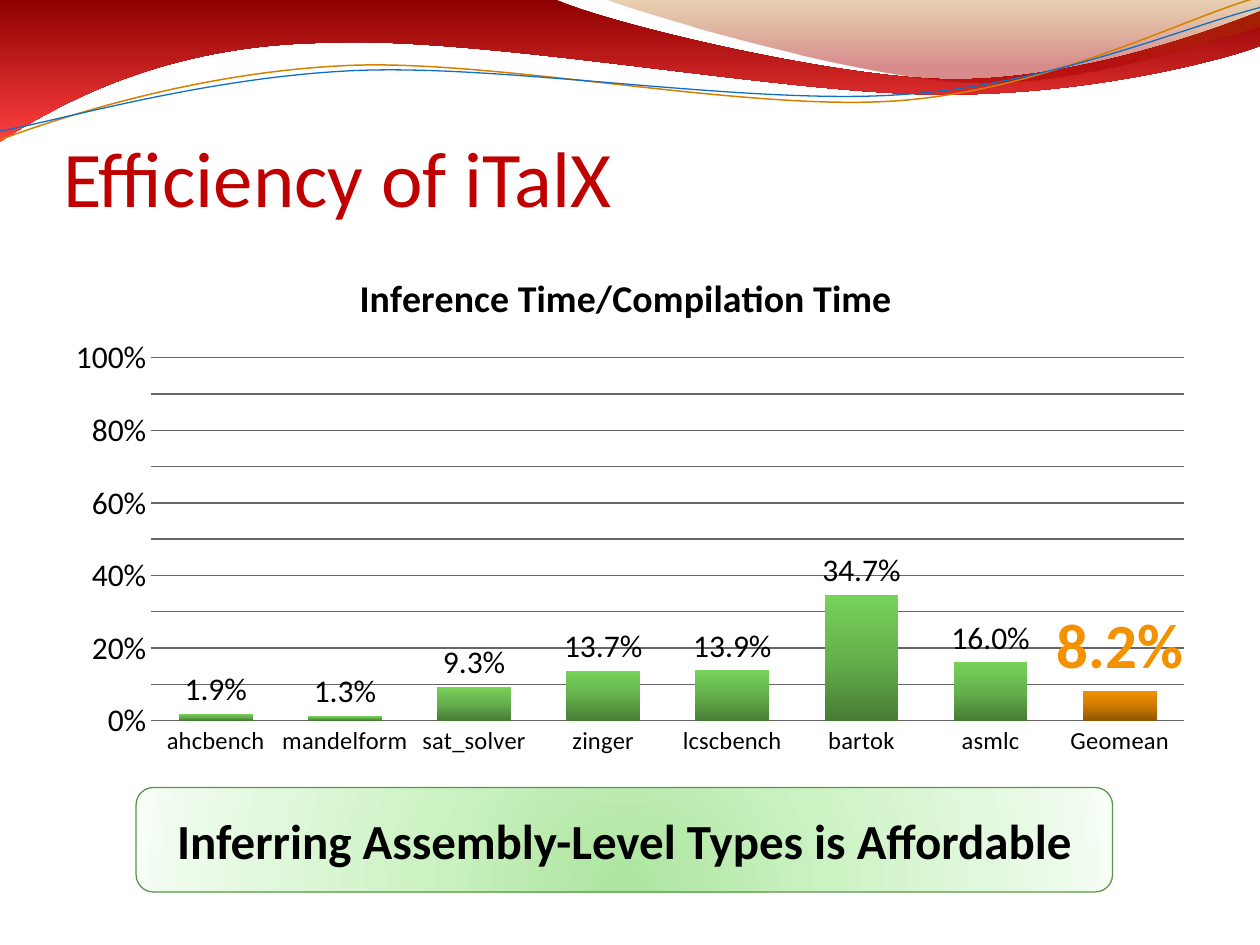
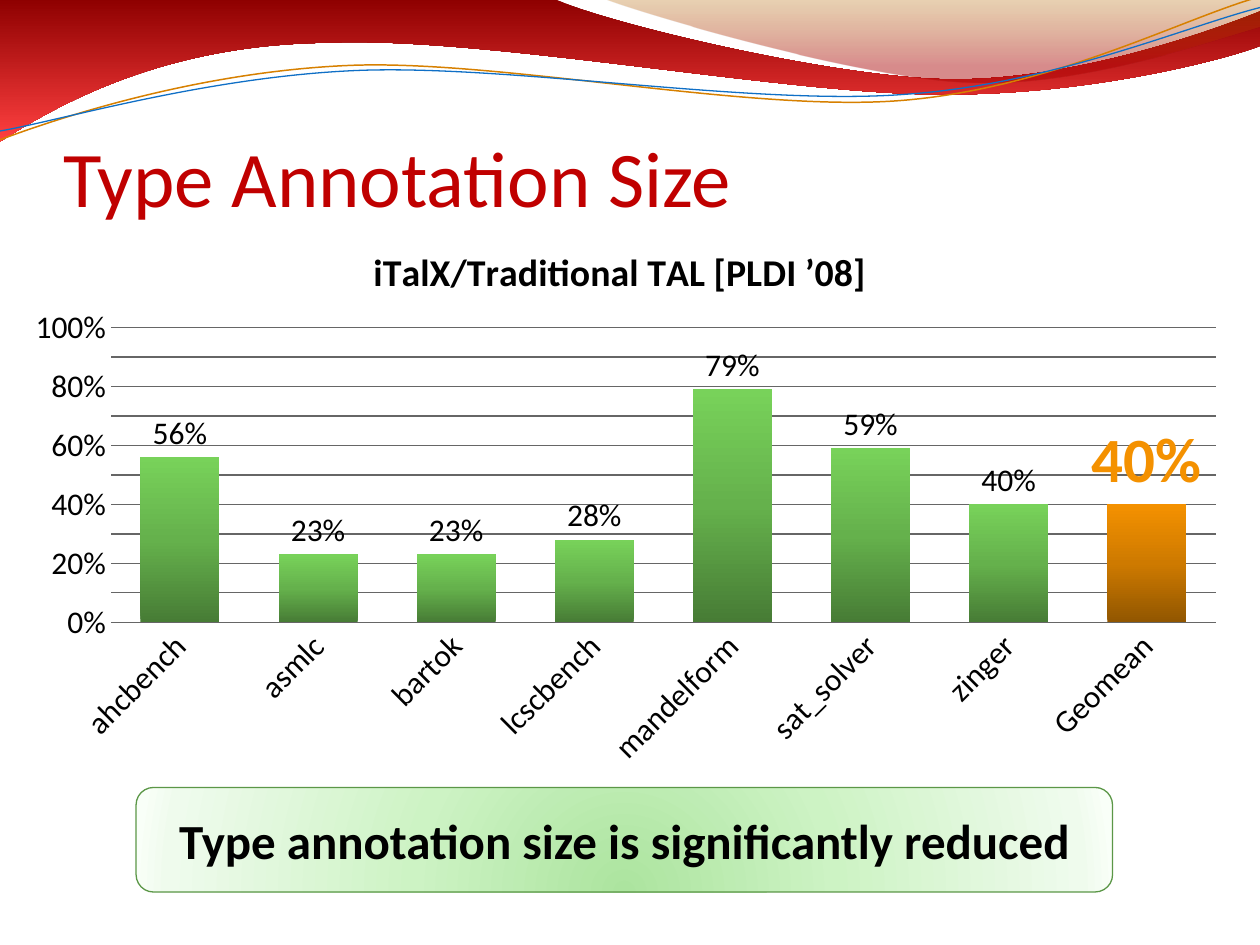
from lxml import etree
from pptx import Presentation
from pptx import util as u
from pptx.chart import data as feed
from pptx.dml import color as dye
from pptx.enum import chart as kinds
from pptx.enum import shapes, text
from pptx.oxml import ns

FONT = "Calibri"
HUES = {
    "title": "C00000", "ink": "000000", "grid": "666666", "mark": "F49100",
    "gold": "D78000", "blue": "0F6FC6", "edge": "5B9747",
}
GREEN = [(0, "477C35"), (50, "65B14C"), (100, "78D25A")]
AMBER = [(0, "915600"), (50, "CE7A00"), (100, "F49100")]
GLOW = [(0, "ACE49F"), (43, "CDF3C4"), (93, "EFFBED"), (100, "F9FFF8")]
RED = [(0, "8E0000"), (100, "FF4040")]
VEIL = [(0, "B56B00", 30), (80, "A90000", 45)]

BAND = [
    (0, 0), (4.4, -0.01),
    (4.76, 0.17, 6.64, 0.63, 7.58, 0.63), (8.53, 0.63, 9.58, 0.26, 10, 0.09),
    (10.01, 0.36),
    (9.83, 0.44, 8.7, 0.76, 7.46, 0.75), (6.22, 0.75, 3.82, 0.28, 2.57, 0.34),
    (1.29, 0.36, 0.46, 0.83, -0.01, 1.13),
]
SAIL = [
    (4.79, -0.01), (5.09, 0.11, 6.82, 0.62, 7.69, 0.65),
    (8.56, 0.69, 9.61, 0.32, 10, 0.21), (10, 0),
]
WAVES = {
    "gold": (0.85, [(0, 1.11), (0.48, 0.93, 1.58, 0.57, 2.77, 0.52),
                    (3.95, 0.47, 5.93, 0.89, 7.13, 0.8),
                    (8.33, 0.71, 9.38, 0.15, 9.98, -0.02)]),
    "blue": (0.75, [(0, 1.04), (0.47, 0.96, 1.64, 0.61, 2.83, 0.56),
                    (4.03, 0.51, 5.97, 0.84, 7.17, 0.75),
                    (8.36, 0.67, 9.41, 0.21, 10, 0.06)]),
}

PAGES = [
    {
        "title": "Efficiency of iTalX",
        "head": "Inference Time/Compilation Time",
        "name": "Inference Time/Compilation Time",
        "box": (0.42, 1.92, 9.17, 4.17), "plot": (1.2, 2.84, 8.2, 2.88),
        "top": (2.8, 2.1), "form": "0.0%", "small": 14, "turn": None,
        "vals": {"ahcbench": 0.019, "mandelform": 0.013, "sat_solver": 0.093,
                 "zinger": 0.137, "lcscbench": 0.139, "bartok": 0.347,
                 "asmlc": 0.16, "Geomean": 0.082},
        "note": "Inferring Assembly-Level Types is Affordable",
    },
    {
        "title": "Type Annotation Size",
        "head": "iTalX/Traditional TAL [PLDI ’08]",
        "name": "Series 1",
        "box": (0.08, 1.75, 9.75, 4.42), "plot": (0.88, 2.6, 8.77, 2.34),
        "top": (2.91, 1.89), "form": "0%", "small": 18, "turn": -45,
        "vals": {"ahcbench": 0.56, "asmlc": 0.23, "bartok": 0.23,
                 "lcscbench": 0.28, "mandelform": 0.79, "sat_solver": 0.59,
                 "zinger": 0.4, "Geomean": 0.4},
        "note": "Type annotation size is significantly reduced",
    },
]


def span(*inches):
    return [u.Cm(n * 2.54) for n in inches]


def tint(name):
    return dye.RGBColor.from_string(HUES[name])


def node(root, tag, **attrs):
    return etree.SubElement(root, ns.qn(tag), {k: str(v) for k, v in attrs.items()})


def blend(fill, stops, turn=None):
    fill.solid()
    home = fill._xPr
    grad = etree.Element(ns.qn("a:gradFill"), rotWithShape="1")
    items = node(grad, "a:gsLst")
    for spot, hue, *clear in stops:
        paint = node(node(items, "a:gs", pos=spot * 1000), "a:srgbClr", val=hue)
        for part in clear:
            node(paint, "a:alpha", val=part * 1000)
    if turn is None:
        ring = node(grad, "a:path", path="circle")
        node(ring, "a:fillToRect", l=50000, t=130000, r=50000, b=-30000)
    else:
        node(grad, "a:lin", ang=turn * 60000, scaled=0)
    home.replace(home.find(ns.qn("a:solidFill")), grad)


def style(font, size, hue="ink", bold=False):
    font.name, font.size, font.bold = FONT, u.Pt(size), bold
    font.color.rgb = tint(hue)


def write(frame, words, size, hue="ink", bold=False, align=None):
    para = frame.paragraphs[0]
    para.alignment = align
    run = para.add_run()
    run.text = words
    style(run.font, size, hue, bold)


def curve(slide, steps, close):
    dots = [span(*step[-2:]) for step in steps]
    maker = slide.shapes.build_freeform(*dots[0], scale=1.0)
    maker.add_line_segments(dots[1:], close=close)
    shape = maker.convert_to_shape()
    shape.shadow.inherit = False
    lines = list(shape._element.iter(ns.qn("a:lnTo")))
    for line, step in zip(lines, steps[1:]):
        if len(step) == 6:
            bend = etree.Element(ns.qn("a:cubicBezTo"))
            spots = span(*step)
            for x, y in zip(spots[::2], spots[1::2]):
                node(bend, "a:pt", x=x - shape.left, y=y - shape.top)
            line.getparent().replace(line, bend)
    return shape


def add_waves(slide):
    for steps, stops in ((BAND, RED), (SAIL, VEIL)):
        shape = curve(slide, steps, True)
        blend(shape.fill, stops, 90)
        shape.line.fill.background()
    for hue, (width, steps) in WAVES.items():
        shape = curve(slide, steps, False)
        shape.fill.background()
        shape.line.color.rgb = tint(hue)
        shape.line.width = u.Pt(width)


def add_title(slide, words):
    frame = slide.shapes.add_textbox(*span(0.5, 1.08, 9.08, 0.69)).text_frame
    frame.word_wrap = True
    frame.vertical_anchor = text.MSO_ANCHOR.BOTTOM
    frame.margin_left = frame.margin_right = frame.margin_bottom = 0
    frame.margin_top = u.Cm(0.13)
    write(frame, words, 45, "title")


def place(part, index, box, spot, inner=False):
    for old in part.findall(ns.qn("c:layout")):
        part.remove(old)
    layout = etree.Element(ns.qn("c:layout"))
    hand = node(layout, "c:manualLayout")
    if inner:
        node(hand, "c:layoutTarget", val="inner")
    for side in "xy":
        node(hand, f"c:{side}Mode", val="edge")
    left, top, wide, high = box
    shift = (left, top, 0, 0)
    for side, size, move, full in zip("xywh", spot, shift, (wide, high) * 2):
        node(hand, f"c:{side}", val=round((size - move) / full, 4))
    part.insert(index, layout)


def set_axes(chart, page):
    base, rise = chart.category_axis, chart.value_axis
    for axis, size in ((base, page["small"]), (rise, 18)):
        axis.major_tick_mark = axis.minor_tick_mark = kinds.XL_TICK_MARK.NONE
        style(axis.tick_labels.font, size)
    base.has_major_gridlines = False
    if page["turn"]:
        body = base._element.find(ns.qn("c:txPr")).find(ns.qn("a:bodyPr"))
        body.set("rot", str(page["turn"] * 60000))
        body.set("vert", "horz")
    rise.minimum_scale, rise.maximum_scale, rise.major_unit = 0, 1, 0.1
    rise.tick_labels.number_format = "0%"
    rise.tick_labels.number_format_is_linked = False
    rise.has_major_gridlines = True
    rise.format.line.fill.background()
    for line in (base.format.line, rise.major_gridlines.format.line):
        line.color.rgb = tint("grid")
        line.width = u.Pt(0.75)


def set_bars(plot, form):
    plot.gap_width, plot.overlap = 75, -25
    plot.vary_by_categories = False
    row = plot.series[0]
    row.invert_if_negative = False
    blend(row.format.fill, GREEN, 270)
    tags = row.data_labels
    tags.show_value = True
    tags.number_format, tags.number_format_is_linked = form, False
    tags.position = kinds.XL_LABEL_POSITION.OUTSIDE_END
    style(tags.font, 18)
    last = row.points[len(row.values) - 1]
    blend(last.format.fill, AMBER, 270)
    style(last.data_label.font, 36, "mark", True)
    last.data_label.position = kinds.XL_LABEL_POSITION.OUTSIDE_END


def add_bars(slide, page):
    data = feed.CategoryChartData(number_format=page["form"])
    data.categories = list(page["vals"])
    data.add_series(page["name"], page["vals"].values())
    chart = slide.shapes.add_chart(
        kinds.XL_CHART_TYPE.COLUMN_CLUSTERED, *span(*page["box"]), data).chart
    style(chart.font, 18)
    chart.has_legend = False
    chart.has_title = True
    head = chart.chart_title
    write(head.text_frame, page["head"], 21.6, bold=True)
    place(head._element, 1, page["box"], page["top"])
    place(chart._chartSpace.chart.plotArea, 0, page["box"], page["plot"], True)
    set_axes(chart, page)
    set_bars(chart.plots[0], page["form"])


def add_note(slide, words):
    shape = slide.shapes.add_shape(
        shapes.MSO_SHAPE.ROUNDED_RECTANGLE, *span(1.08, 6.25, 7.75, 0.83))
    blend(shape.fill, GLOW)
    shape.line.color.rgb = tint("edge")
    shape.line.width = u.Pt(0.75)
    shape.shadow.inherit = False
    frame = shape.text_frame
    frame.word_wrap = True
    frame.vertical_anchor = text.MSO_ANCHOR.MIDDLE
    write(frame, words, 28, bold=True, align=text.PP_ALIGN.CENTER)


def main():
    deck = Presentation()
    deck.slide_width, deck.slide_height = span(10, 7.5)
    for page in PAGES:
        slide = deck.slides.add_slide(deck.slide_layouts[6])
        add_waves(slide)
        add_title(slide, page["title"])
        add_bars(slide, page)
        add_note(slide, page["note"])
    deck.save("out.pptx")


main()
